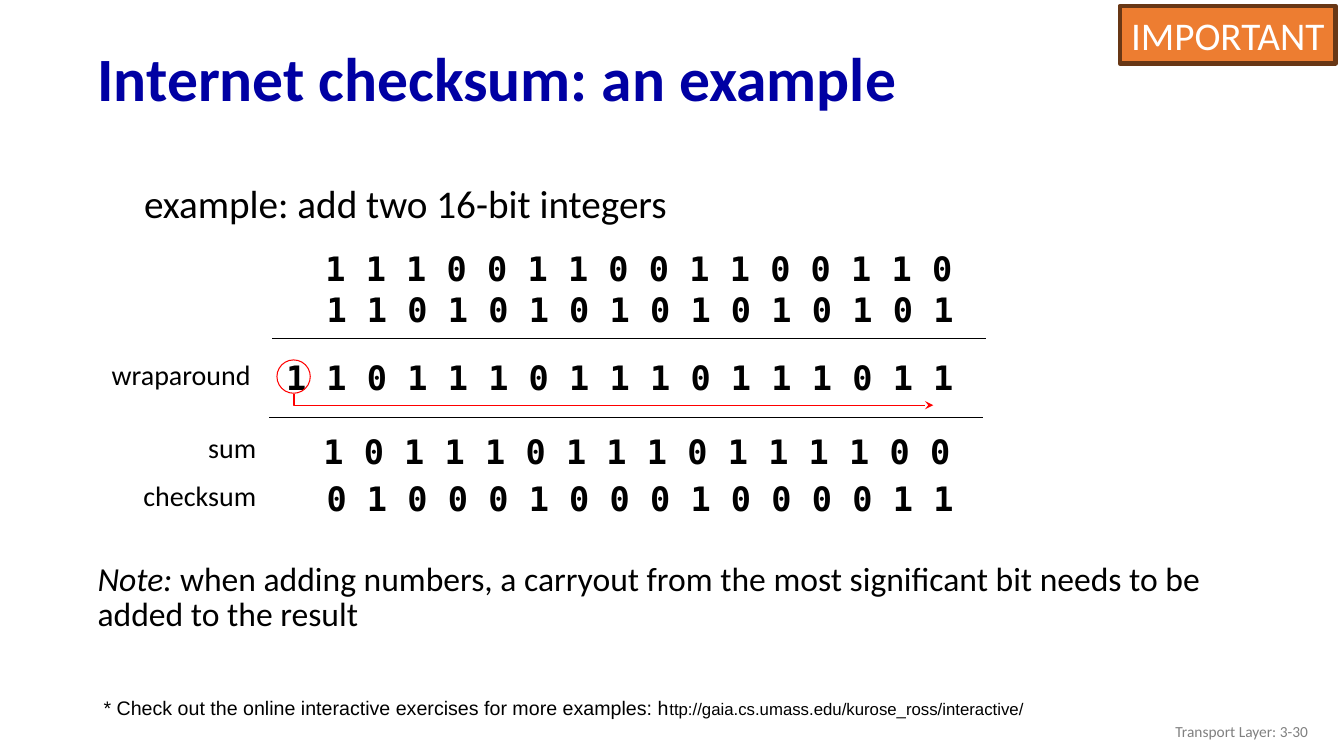
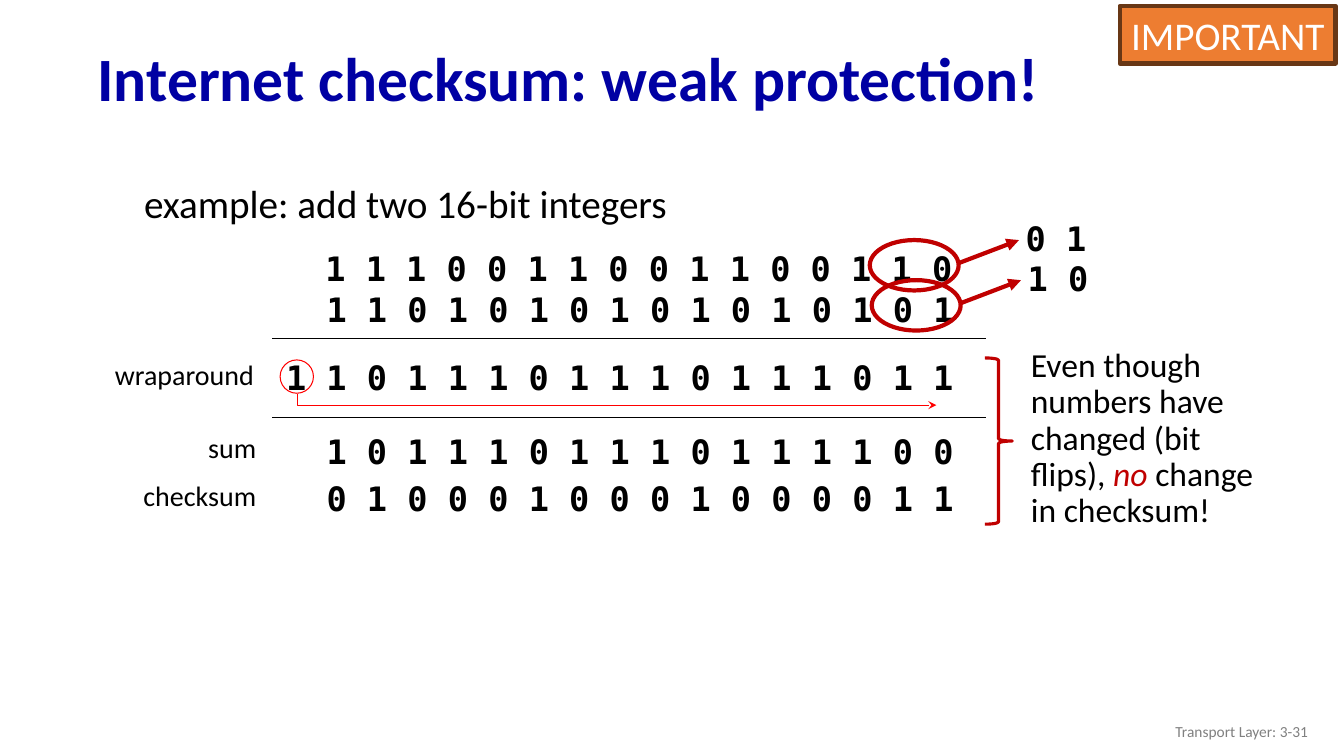
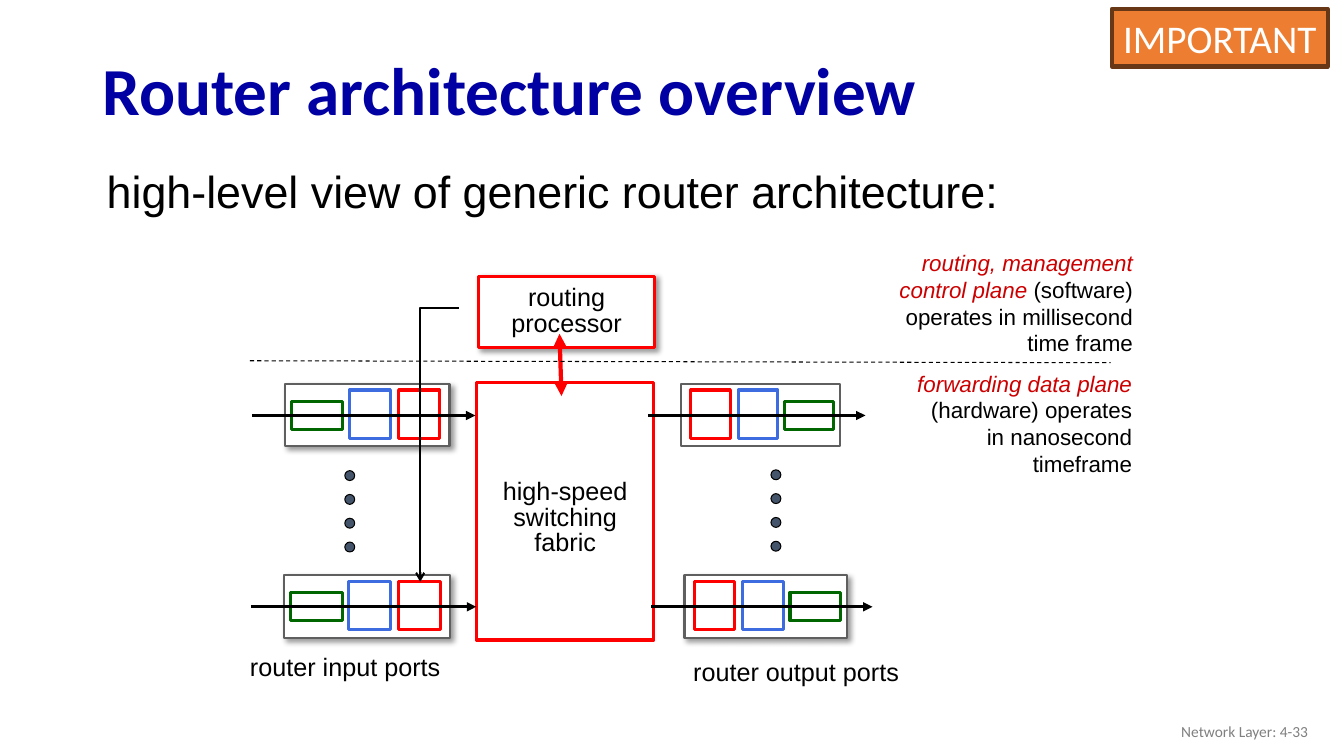
"""Builds three lecture slides on the Internet checksum and router architecture."""
from lxml.etree import SubElement as Sub
from pptx import Presentation
from pptx.dml.color import RGBColor
from pptx.enum.dml import MSO_LINE as Dash
from pptx.enum.shapes import MSO_CONNECTOR as Wire, MSO_SHAPE as Kind
from pptx.enum.text import MSO_ANCHOR as Anchor, PP_ALIGN as Align
from pptx.oxml.ns import qn
from pptx.util import Cm, Pt

BLACK = RGBColor(0x00, 0x00, 0x00)
WHITE = RGBColor(0xFF, 0xFF, 0xFF)
NAVY = RGBColor(0x00, 0x00, 0xA3)
GRAY = RGBColor(0x80, 0x80, 0x80)
SLATE = RGBColor(0x5F, 0x5F, 0x5F)
STEEL = RGBColor(0x44, 0x54, 0x6A)
RED = RGBColor(0xFF, 0x00, 0x00)
DARK = RGBColor(0xC0, 0x00, 0x00)
CRIMSON = RGBColor(0xCC, 0x00, 0x00)
GREEN = RGBColor(0x00, 0x66, 0x00)
BLUE = RGBColor(0x3C, 0x6C, 0xDF)
ORANGE = RGBColor(0xED, 0x7D, 0x31)
BROWN = RGBColor(0x68, 0x37, 0x15)

TITLE = {"name": "Calibri", "size": Pt(44), "bold": True, "color": NAVY}
BADGE = {"name": "Calibri", "size": Pt(28), "color": WHITE}
FOOT = {"name": "Calibri", "size": Pt(11), "color": GRAY}
LEAD = {"name": "Calibri", "size": Pt(28)}
BODY = {"name": "Calibri", "size": Pt(24)}
LABEL = {"name": "Calibri", "size": Pt(20)}
BITS = {"name": "DejaVu Sans Mono", "size": Pt(24), "bold": True}
SANS = {"name": "Arial", "size": Pt(18)}
HEAD = {**SANS, "size": Pt(32)}
PLANE = {**SANS, "size": Pt(16)}
CHECK = {**SANS, "size": Pt(14)}
TERM = {"italic": True, "color": CRIMSON}

ROWS = [
    (7.95, 6.12, "1110011001100110"),
    (7.98, 7.16, "1101010101010101"),
    (6.96, 8.86, "11011101110111011"),
    (7.98, 11.91, "0100010001000011"),
]
SUM = (7.98, 10.74, "1011101110111100")
FLIPS = [(0, 0, "01"), (0.05, 1.01, "10")]
NOTE = [[("Note:", {"italic": True}),
         " when adding numbers, a carryout from the most significant bit needs to be added to the result"]]
LINK = [["* Check out the online interactive exercises for more examples: h",
         ("ttp://gaia.cs.umass.edu/kurose_ross/interactive/", {"size": Pt(12)})]]
WEAK = [["Even though numbers have changed (bit flips), ",
         ("no", {"italic": True, "color": DARK}), " change in checksum!"]]
DATA = [[("forwarding data plane ", TERM), "(hardware) operates in nanosecond timeframe"]]
CONTROL = [[("routing, management", TERM)], [("control plane ", TERM), "(software)"],
           ["operates in millisecond"], ["time frame"]]
BANKS = [
    (7.19, 9.68, 4.14, False, True),
    (7.16, 14.5, 4.19, False, True),
    (17.17, 9.68, 3.99, True, False),
    (17.25, 14.5, 4.09, True, True),
]
PARTS = [(0.04, 0.31, 0.43, 0.71, GREEN), (0.39, 0.25, 0.15, 1.22, BLUE), (0.69, 0.25, 0.15, 1.22, RED)]
DOTS = [(8.69, 11.86), (19.43, 11.84)]
PORTS = [(6.05, 16.28, "router input ports"), (17.22, 16.41, "router output ports")]


def write(shape, paras, style, align=Align.LEFT, space=1, anchor=Anchor.TOP):
    frame = shape.text_frame
    frame.word_wrap, frame.vertical_anchor = True, anchor
    for num, parts in enumerate(paras):
        para = frame.add_paragraph() if num else frame.paragraphs[0]
        para.alignment = align
        if space != 1:
            para.line_spacing = space
        for part in parts:
            words, extra = (part, {}) if isinstance(part, str) else part
            run = para.add_run()
            run.text = words
            for key, value in {"color": BLACK, **style, **extra}.items():
                if key == "color":
                    run.font.color.rgb = value
                else:
                    setattr(run.font, key, value)


def text(page, at, paras, style, **look):
    box = page.shapes.add_textbox(*map(Cm, at))
    write(box, [[paras]] if isinstance(paras, str) else paras, style, **look)


def stroke(shape, color, width, dash=None, **ends):
    shape.line.color.rgb, shape.line.width = color, Pt(width)
    if dash:
        shape.line.dash_style = dash
    for end, kind in ends.items():
        Sub(shape.element.spPr.find(qn("a:ln")), qn(f"a:{end}End"), type=kind)


def draw(page, kind, at, color, width, fill=None, shade=False):
    shape = page.shapes.add_shape(kind, *map(Cm, at))
    shape.shadow.inherit = False
    if fill is None:
        shape.fill.background()
    else:
        shape.fill.solid()
        shape.fill.fore_color.rgb = fill
    stroke(shape, color, width)
    if shade:
        glow = Sub(shape.element.spPr.find(qn("a:effectLst")), qn("a:outerShdw"),
                   blurRad=str(Pt(4)), dist=str(Pt(3)), dir="2700000", algn="tl", rotWithShape="0")
        tint = Sub(glow, qn("a:srgbClr"), val=str(BLACK))
        Sub(tint, qn("a:alpha"), val="40000")
    return shape


def line(page, ends, color, width, **look):
    wire = page.shapes.add_connector(Wire.STRAIGHT, *map(Cm, ends))
    stroke(wire, color, width, **look)
    Sub(wire.element.spPr, qn("a:effectLst"))


def elbow(page, points, color, width, tail):
    first, *rest = [(Cm(x), Cm(y)) for x, y in points]
    path = page.shapes.build_freeform(*first)
    path.add_line_segments(rest, close=False)
    shape = path.convert_to_shape()
    shape.shadow.inherit = False
    shape.fill.background()
    stroke(shape, color, width, tail=tail)


def start(deck, title, foot, at=(2.21, 0.81, 30.84, 2.49), size=44, badge=(28.22, 0.15)):
    page = deck.slides.add_slide(deck.slide_layouts[6])
    text(page, at, title, {**TITLE, "size": Pt(size)}, space=0.9, anchor=Anchor.MIDDLE)
    text(page, (25.6, 17.91, 7.62, 1.02), foot, FOOT, align=Align.RIGHT, anchor=Anchor.MIDDLE)
    tag = draw(page, Kind.RECTANGLE, (*badge, 5.44, 1.45), BROWN, 3, ORANGE)
    tag.text_frame.margin_left = tag.text_frame.margin_right = 0
    write(tag, [["IMPORTANT"]], BADGE, align=Align.CENTER, anchor=Anchor.MIDDLE)
    return page


def bits(page, x, y, digits):
    text(page, (x, y, len(digits) + 2, 1.27), " ".join(digits), BITS)


def adder(page, shift=0):
    text(page, (3.38, 4.39, 21.59, 1.5), "example: add two 16-bit integers", LEAD)
    for row in ROWS:
        bits(page, *row)
    bits(page, SUM[0] + shift, *SUM[1:])
    for right, y, name in [(6.65 + shift, 8.89, "wraparound"), (6.71, 10.72, "sum"), (6.71, 11.94, "checksum")]:
        text(page, (right - 5, y, 5, 1.1), name, LABEL, align=Align.RIGHT)
    for dx, y in [(0, 8.53), (shift, 10.52)]:
        line(page, (6.86 + dx, y, 24.84 + dx, y), BLACK, 1)
    draw(page, Kind.OVAL, (7.06 + shift, 9.07, 0.84, 0.84), RED, 0.75)
    elbow(page, [(7.49 + shift, 9.93), (7.49 + shift, 10.21), (23.6 + shift, 10.21)], RED, 0.75, "stealth")


def sample(deck):
    page = start(deck, "Internet checksum: an example", "Transport Layer: 3-30")
    adder(page, -0.08)
    text(page, (2.21, 14.1, 28.8, 3), NOTE, BODY, space=0.85)
    text(page, (2.36, 17.4, 27.38, 0.86), LINK, CHECK)


def weak(deck):
    page = start(deck, "Internet checksum: weak protection!", "Transport Layer: 3-31")
    adder(page)
    for dx, dy, digits in FLIPS:
        draw(page, Kind.OVAL, (21.92 + dx, 6.05 + dy, 2.24, 1.27), DARK, 3)
        line(page, (24.16 + dx, 6.63 + dy, 25.68 + dx, 6.05 + dy), DARK, 3, tail="triangle")
        bits(page, 25.6 + dx, 5.36 + dy, digits)
    draw(page, Kind.RIGHT_BRACE, (24.82, 9.02, 0.69, 4.19), DARK, 2.25)
    text(page, (25.73, 8.66, 6.68, 4.88), WEAK, BODY, space=0.9)


def bank(page, x, y, wide, flip, shade):
    draw(page, Kind.RECTANGLE, (x, y, wide, 1.57), SLATE, 1.5, WHITE, shade)
    for left, part, top, tall, color in PARTS:
        pos = 1 - left - part if flip else left
        draw(page, Kind.RECTANGLE, (x + pos * wide, y + top, part * wide, tall), color, 2.25, WHITE)
    line(page, (x - 0.84, y + 0.79, x + wide + 0.65, y + 0.79), BLACK, 2.25, tail="triangle")


def router(deck):
    page = start(deck, "Router architecture overview", "Network Layer: 4-33",
                 (2.34, 1.12, 29.21, 2.49), 48, (28.02, 0.23))
    text(page, (2.44, 4.01, 29.97, 1.63), "high-level view of generic router architecture:", HEAD)
    mid = {"align": Align.CENTER, "space": 0.85, "anchor": Anchor.MIDDLE}
    fabric = draw(page, Kind.RECTANGLE, (12.01, 9.63, 4.47, 6.5), RED, 2.25, WHITE)
    fabric.text_frame.margin_top = Cm(0.5)
    write(fabric, [["high-speed"], ["switching"], ["fabric"]], SANS, **mid)
    brain = draw(page, Kind.RECTANGLE, (12.07, 6.96, 4.42, 1.8), RED, 2.25, WHITE, True)
    write(brain, [["routing"], ["processor"]], SANS, **mid)
    line(page, (14.1, 8.41, 14.15, 9.98), RED, 3, head="triangle", tail="triangle")
    for item in BANKS:
        bank(page, *item)
    for x, y in DOTS:
        for num in range(4):
            draw(page, Kind.OVAL, (x, y + 0.6 * num, 0.25, 0.25), BLACK, 0.75, STEEL)
    for x, y, name in PORTS:
        text(page, (x, y, 6.5, 1.02), name, SANS)
    line(page, (6.3, 9.09, 27.99, 9.14), BLACK, 0.75, dash=Dash.DASH)
    text(page, (22.71, 9.19, 6.07, 3), DATA, PLANE, align=Align.RIGHT)
    text(page, (20.8, 6.15, 8, 3), CONTROL, PLANE, align=Align.RIGHT)
    elbow(page, [(11.56, 7.77), (10.59, 7.77), (10.59, 14.66)], BLACK, 1.5, "arrow")


def main():
    deck = Presentation()
    deck.slide_width, deck.slide_height = Cm(33.87), Cm(19.05)
    for build in (sample, weak, router):
        build(deck)
    deck.save("out.pptx")


if __name__ == "__main__":
    main()
